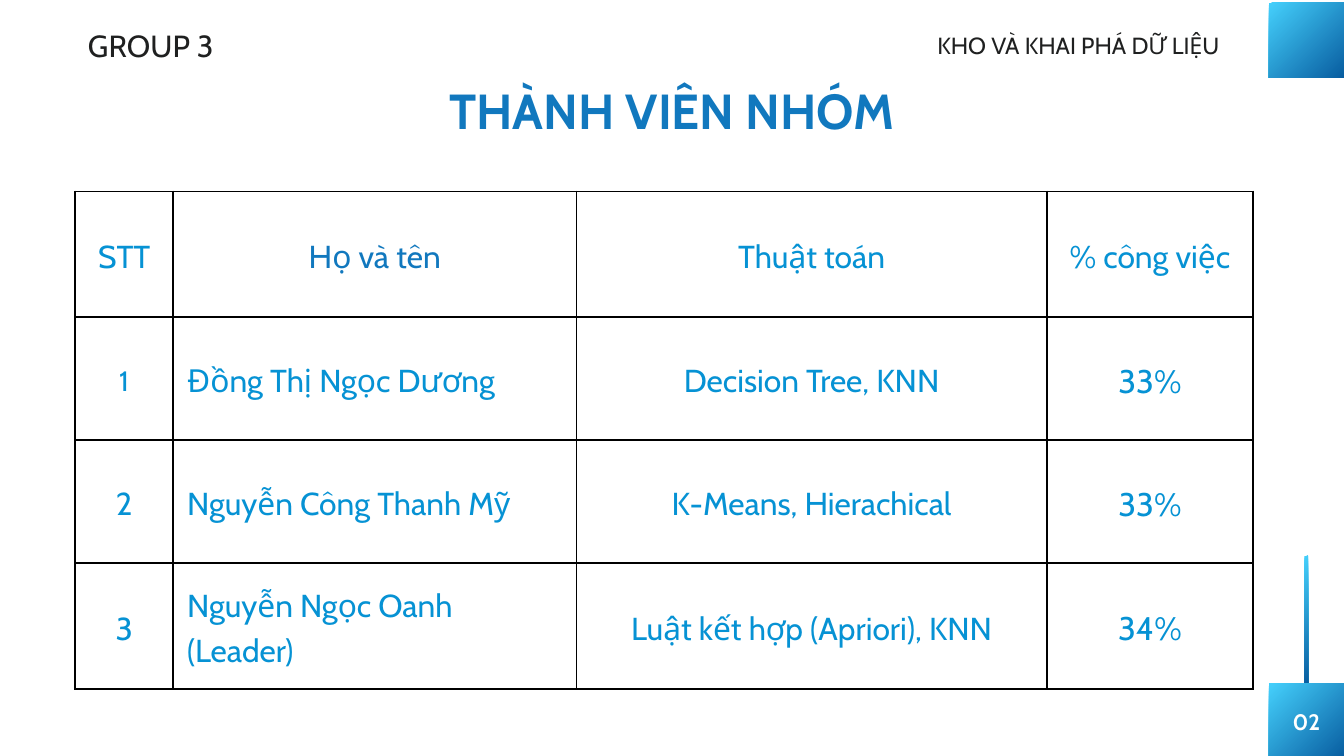
from lxml import etree
from pptx import Presentation
from pptx.dml.color import RGBColor
from pptx.enum.shapes import MSO_SHAPE
from pptx.enum.text import MSO_ANCHOR, PP_ALIGN
from pptx.oxml.ns import qn
from pptx.util import Pt

FONT = "Cabin"
LINE_SPACING = 1.4  # line pitch as a multiple of the text size
COLORS = {
    "sky": "0692D4",
    "blue": "1178BE",
    "ink": "1F2020",
    "white": "FFFFFF",
    "border": "000000",
    "gradient_start": "45D0FC",
    "gradient_end": "085DA0",
}

COLUMN_WIDTHS = [105, 432, 504, 221]
ROW_HEIGHTS = [134.6, 131.8, 131.8, 134.6]
CELL_MARGIN = 15
MEMBERS = [
    ["STT", "Họ và tên", "Thuật toán", "% công việc"],
    ["1", "Đồng Thị Ngọc Dương", "Decision Tree, KNN", "33%"],
    ["2", "Nguyễn Công Thanh Mỹ", "K-Means, Hierachical", "33%"],
    ["3", "Nguyễn Ngọc Oanh\n(Leader)", "Luật kết hợp (Apriori), KNN", "34%"],
]


def format_text(text_frame, size, color, align, bold=False):
    for paragraph in text_frame.paragraphs:
        paragraph.alignment = align
        paragraph.line_spacing = Pt(round(size * LINE_SPACING, 1))
        for run in paragraph.runs:
            run.font.name = FONT
            run.font.size = Pt(size)
            run.font.bold = bold
            run.font.color.rgb = RGBColor.from_string(COLORS[color])


def add_text(slide, box, text, size, color, align=PP_ALIGN.LEFT, bold=False):
    text_box = slide.shapes.add_textbox(*map(Pt, box))
    text_frame = text_box.text_frame
    text_frame.margin_left = text_frame.margin_right = 0
    text_frame.margin_top = text_frame.margin_bottom = 0
    text_frame.word_wrap = True
    text_frame.text = text
    format_text(text_frame, size, color, align, bold)


def add_gradient_box(slide, box):
    shape = slide.shapes.add_shape(MSO_SHAPE.RECTANGLE, *map(Pt, box))
    shape.shadow.inherit = False
    shape.line.fill.background()
    shape.fill.gradient()
    shape.fill.gradient_angle = 315  # light top left, dark bottom right
    for stop, name in zip(shape.fill.gradient_stops, ("gradient_start", "gradient_end")):
        stop.color.rgb = RGBColor.from_string(COLORS[name])


def set_borders(cell, width):
    properties = cell._tc.get_or_add_tcPr()
    for index, side in enumerate(("lnL", "lnR", "lnT", "lnB")):
        line = etree.Element(qn(f"a:{side}"), w=str(Pt(width)))
        fill = etree.SubElement(line, qn("a:solidFill"))
        etree.SubElement(fill, qn("a:srgbClr"), val=COLORS["border"])
        properties.insert(index, line)


def cell_style(row, column):
    """Return the size, colour and alignment of a table cell."""
    size, color, align = 34, "sky", PP_ALIGN.CENTER
    if row == 0 and column == 1:
        color = "blue"
    elif row > 0 and column == 1:
        align = PP_ALIGN.LEFT
    elif row > 0 and column == 3:
        size = 35
    elif row == 1 and column == 0:
        size = 30
    return size, color, align


def add_member_table(slide, box):
    frame = slide.shapes.add_table(len(MEMBERS), len(COLUMN_WIDTHS), *map(Pt, box))
    table = frame.table
    table.first_row = table.horz_banding = False
    for column, width in zip(table.columns, COLUMN_WIDTHS):
        column.width = Pt(width)
    for row, height in zip(table.rows, ROW_HEIGHTS):
        row.height = Pt(height)
    for row, values in enumerate(MEMBERS):
        for column, value in enumerate(values):
            cell = table.cell(row, column)
            cell.margin_left = cell.margin_right = Pt(CELL_MARGIN)
            cell.margin_top = cell.margin_bottom = Pt(CELL_MARGIN)
            cell.vertical_anchor = MSO_ANCHOR.MIDDLE
            cell.fill.background()
            set_borders(cell, 2.25)
            cell.text_frame.text = value
            format_text(cell.text_frame, *cell_style(row, column))


def add_header(slide, box):
    left, top, width, height = box
    # Group, course and slide title
    add_text(slide, (left, top, 158.4, 44), "GROUP 3", 32.7, "ink")
    add_text(slide, (left + width - 338.4, top + 5.8, 338.4, 34),
             "KHO VÀ KHAI PHÁ DỮ LIỆU", 25, "ink")
    add_text(slide, (463, top + height - 71.3, 514, 71.3),
             "THÀNH VIÊN NHÓM", 52.7, "blue", PP_ALIGN.CENTER, bold=True)


def add_side_decoration(slide, box):
    left, top, width, height = box
    square_top = top + height - width
    # Corner squares and the bar standing on the lower one
    add_gradient_box(slide, (left, top, width, width))
    add_gradient_box(slide, (left + 38.2, square_top - 136.8, 4, 136.8))
    add_gradient_box(slide, (left, square_top, width, width))
    # Page number
    add_text(slide, (left + 18.7, square_top + 21.6, 43.2, 32.4),
             "02", 24, "white", PP_ALIGN.CENTER, bold=True)


def main():
    presentation = Presentation()
    presentation.slide_width = Pt(1440)
    presentation.slide_height = Pt(810)
    slide = presentation.slides.add_slide(presentation.slide_layouts[6])
    add_member_table(slide, (80.6, 205.2, sum(COLUMN_WIDTHS), sum(ROW_HEIGHTS)))
    add_header(slide, (94.3, 22.3, 1248.5, 124.6))
    add_side_decoration(slide, (1359.4, 3, 80.6, 809.9))
    presentation.save("out.pptx")


if __name__ == "__main__":
    main()
